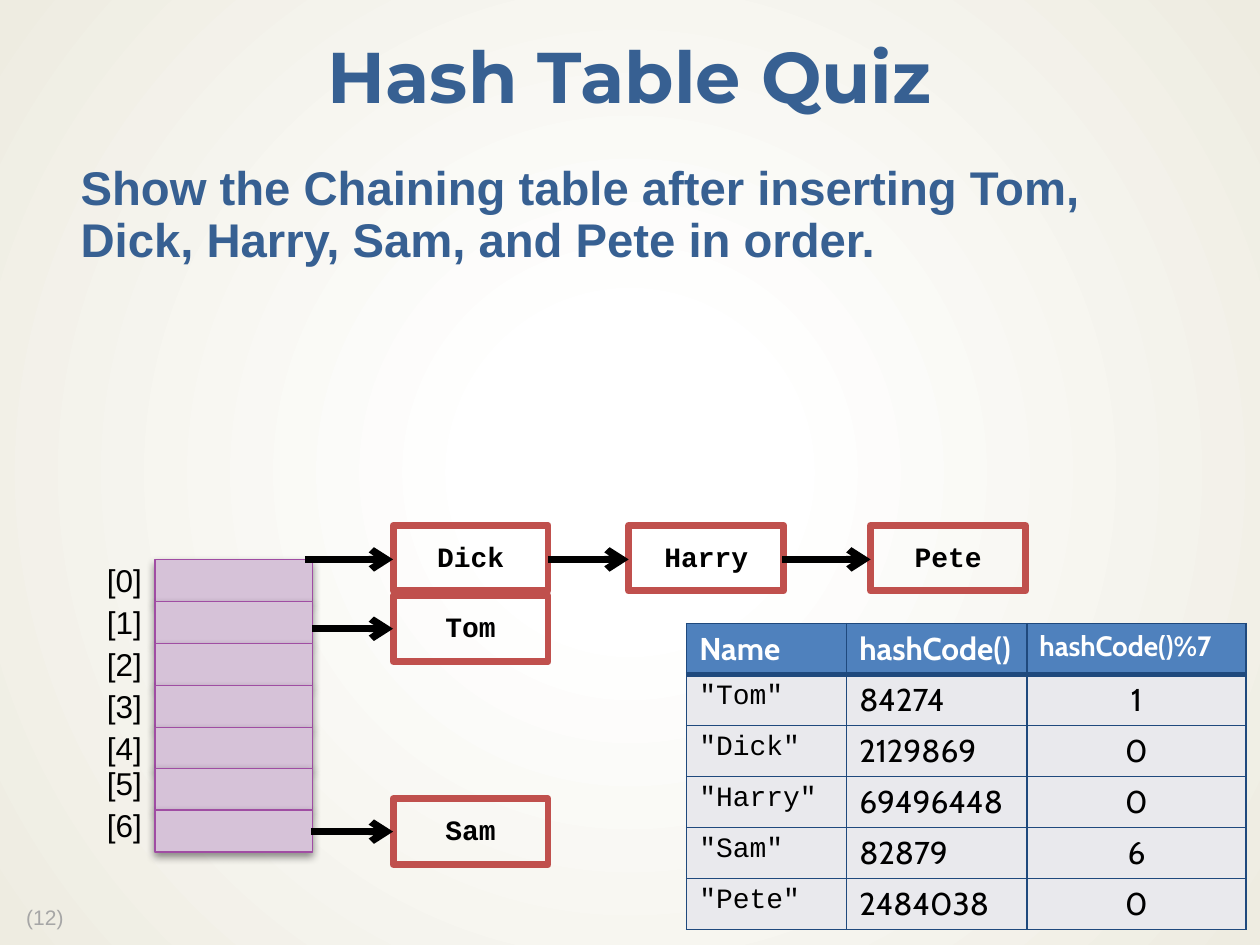
from typing import NamedTuple

from lxml.etree import SubElement as Sub
from pptx import Presentation
from pptx.dml.color import RGBColor as Rgb
from pptx.enum.shapes import MSO_CONNECTOR as Conn, MSO_SHAPE as Kind
from pptx.enum.text import MSO_ANCHOR as Anchor, MSO_AUTO_SIZE as Auto, PP_ALIGN as Align
from pptx.oxml import parse_xml
from pptx.oxml.ns import nsdecls, qn
from pptx.util import Inches, Pt

HUES = {
    "blue": "376092", "grey": "A6A6A6", "black": "000000", "white": "FFFFFF",
    "cream": "EEECE1", "slot": "D6C2D8", "edge": "A04DA3", "node": "C0504D",
    "head": "4F81BD", "row": "E9E9ED", "rule": "1F497D",
}


class Face(NamedTuple):
    size: float
    name: str
    hue: str
    bold: bool = False


class Node(NamedTuple):
    word: str
    left: float
    top: float


class Arrow(NamedTuple):
    start: float
    end: float
    y: float


TITLE = Face(41, "Montserrat", "blue", True)
TASK = Face(27, "Arial", "blue", True)
PAGE = Face(12, "Arial", "grey")
INDEX = Face(18, "Arial", "black")
WORD = Face(16, "Courier New", "black", True)
HEAD = Face(18, "Cabin", "white", True)
SMALL = Face(16, "Cabin", "white", True)
CODE = Face(16, "Courier New", "black")
VALUE = Face(18, "Cabin", "black")

NODES = [
    Node("Tom", 3.12, 4.73), Node("Dick", 3.12, 4.17), Node("Harry", 4.99, 4.17),
    Node("Pete", 6.91, 4.17), Node("Sam", 3.12, 6.34),
]
ARROWS = [
    Arrow(2.48, 3.12, 4.99), Arrow(2.42, 3.12, 4.44), Arrow(4.35, 4.99, 4.44),
    Arrow(6.21, 6.91, 4.44), Arrow(2.47, 3.12, 6.6),
]
ROWS = [
    ("Name", "hashCode()", "hashCode()%7"),
    ('"Tom"', "84274", "1"),
    ('"Dick"', "2129869", "0"),
    ('"Harry"', "69496448", "0"),
    ('"Sam"', "82879", "6"),
    ('"Pete"', "2484038", "0"),
]
WIDTHS = [1.27, 1.43, 1.74]
TALL = 2.43 / len(ROWS)
PITCH = 1 / 3


def tint(hue: str) -> Rgb:
    return Rgb.from_string(HUES[hue])


def write(frame, text: str, face: Face, align=Align.LEFT, lead: float = 1) -> None:
    para = frame.paragraphs[0]
    para.alignment = align
    para.line_spacing = lead
    run = para.add_run()
    run.text = text
    font = run.font
    font.size, font.name, font.bold = Pt(face.size), face.name, face.bold
    font.color.rgb = tint(face.hue)


def pad(frame, left: float, side: float, top: float) -> None:
    frame.margin_left, frame.margin_right = Inches(left), Inches(side)
    frame.margin_top = frame.margin_bottom = Inches(top)


def label(slide, at, text: str, face: Face, wrap: bool = False, lead: float = 1):
    frame = slide.shapes.add_textbox(*map(Inches, at)).text_frame
    frame.word_wrap = wrap
    write(frame, text, face, lead=lead)
    return frame


def box(slide, at, line: str, width: float):
    shape = slide.shapes.add_shape(Kind.RECTANGLE, *map(Inches, at))
    shape.shadow.inherit = False
    shape.line.color.rgb = tint(line)
    shape.line.width = Pt(width)
    return shape


def draw_back(slide) -> None:
    slide.background.fill.solid()
    prop = slide.element.cSld.find(qn("p:bg")).find(qn("p:bgPr"))
    prop.replace(prop[0], parse_xml(
        f'<a:gradFill {nsdecls("a")} rotWithShape="1"><a:gsLst>'
        f'<a:gs pos="18000"><a:srgbClr val="{HUES["white"]}"><a:alpha val="53000"/></a:srgbClr></a:gs>'
        f'<a:gs pos="100000"><a:srgbClr val="{HUES["cream"]}"/></a:gs></a:gsLst>'
        '<a:path path="circle"><a:fillToRect l="50000" t="50000" r="50000" b="50000"/></a:path>'
        '</a:gradFill>'))


def draw_title(slide) -> None:
    title = slide.shapes.title
    title.left, title.top, title.width, title.height = map(Inches, (0, 0.17, 10, 0.94))
    frame = title.text_frame
    frame.auto_size, frame.word_wrap = Auto.NONE, True
    frame.vertical_anchor = Anchor.MIDDLE
    pad(frame, 0.13, 0.13, 0.06)
    write(frame, "Hash Table Quiz", TITLE, Align.CENTER, 0.9)


def draw_slot(slide, index: int) -> None:
    late = index > 4
    top = 4.44 + index * PITCH - (0.01 if late else 0)
    shape = box(slide, (1.23, top, 1.25, PITCH), "edge", 0.79)
    shape.fill.solid()
    shape.fill.fore_color.rgb = tint("slot")
    glow = shape.element.spPr.find(qn("a:effectLst"))
    glow.append(parse_xml(
        f'<a:outerShdw {nsdecls("a")} blurRad="{Pt(5)}" dist="{Pt(2.4)}" dir="5400000" rotWithShape="0">'
        f'<a:srgbClr val="{HUES["black"]}"><a:alpha val="45000"/></a:srgbClr></a:outerShdw>'))
    label(slide, (0.75, top - (0.08 if late else 0.04), 0.48, 0.4), f"[{index}]", INDEX)


def draw_node(slide, node: Node) -> None:
    shape = box(slide, (node.left, node.top, 1.23, 0.52), "node", 4)
    shape.fill.background()
    Sub(shape.element.spPr.find(qn("a:ln")), qn("a:round"))
    frame = shape.text_frame
    frame.vertical_anchor = Anchor.MIDDLE
    write(frame, node.word, WORD, Align.CENTER, 0.9)


def draw_arrow(slide, arrow: Arrow) -> None:
    ends = map(Inches, (arrow.start, arrow.y, arrow.end, arrow.y))
    link = slide.shapes.add_connector(Conn.STRAIGHT, *ends)
    link.line.color.rgb = tint("black")
    link.line.width = Pt(4)
    prop = link.element.spPr
    Sub(prop.find(qn("a:ln")), qn("a:tailEnd"), type="arrow")
    Sub(prop, qn("a:effectLst"))


def frame_cell(cell, row: int) -> None:
    prop = cell._tc.get_or_add_tcPr()
    thick = {("B", 0), ("T", 1)}
    for side in "LRTB":
        width = 3 if (side, row) in thick else 1
        line = Sub(prop, qn(f"a:ln{side}"), w=str(Pt(width)))
        Sub(Sub(line, qn("a:solidFill")), qn("a:srgbClr"), val=HUES["rule"])
    cell.fill.solid()
    cell.fill.fore_color.rgb = tint("row" if row else "head")


def draw_table(slide) -> None:
    spot = map(Inches, (5.45, 4.95, sum(WIDTHS), TALL * len(ROWS)))
    table = slide.shapes.add_table(len(ROWS), len(WIDTHS), *spot).table
    for col, width in zip(table.columns, WIDTHS):
        col.width = Inches(width)
    for r, words in enumerate(ROWS):
        table.rows[r].height = Inches(TALL)
        faces = (CODE, VALUE, VALUE) if r else (HEAD, HEAD, SMALL)
        for c, (word, face) in enumerate(zip(words, faces)):
            cell = table.cell(r, c)
            frame_cell(cell, r)
            align = Align.CENTER if r and c == 2 else Align.LEFT
            write(cell.text_frame, word, face, align)


def main() -> None:
    deck = Presentation()
    deck.slide_width, deck.slide_height = Inches(10), Inches(7.5)
    slide = deck.slides.add_slide(deck.slide_layouts[5])
    draw_back(slide)
    label(slide, (0.11, 7.15, 0.52, 0.28), "(12)", PAGE, lead=0.9)
    draw_title(slide)
    task = "Show the Chaining table after inserting Tom, Dick, Harry, Sam, and Pete in order."
    pad(label(slide, (0.38, 1.25, 9.25, 5.65), task, TASK, True, 0.9), 0.26, 0.12, 0.06)
    draw_table(slide)
    for index in range(7):
        draw_slot(slide, index)
    for node in NODES:
        draw_node(slide, node)
    for arrow in ARROWS:
        draw_arrow(slide, arrow)
    deck.save("out.pptx")


if __name__ == "__main__":
    main()
